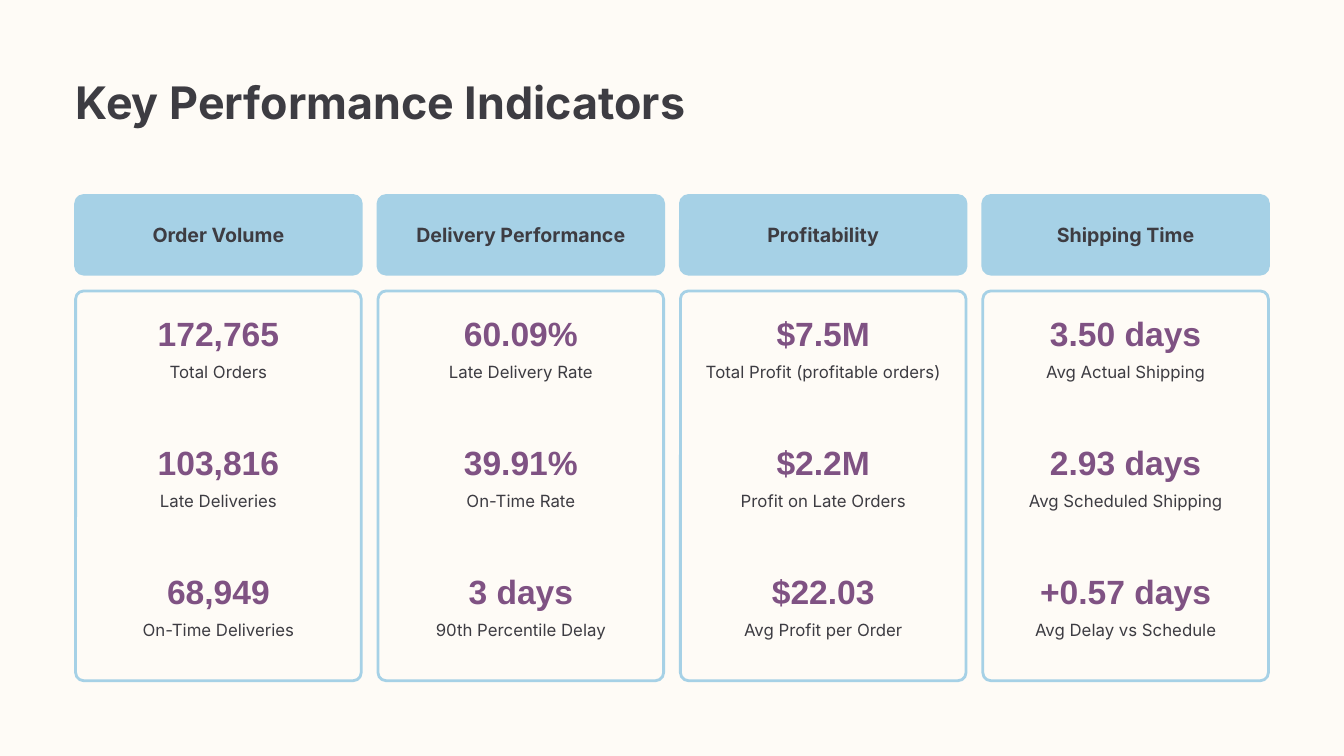
from pptx import Presentation
from pptx.dml.color import RGBColor
from pptx.enum.shapes import MSO_SHAPE
from pptx.enum.text import MSO_ANCHOR, MSO_AUTO_SIZE, PP_ALIGN
from pptx.util import Inches, Pt

DARK, BLUE, PLUM, CREAM = "3D3C42", "A6D1E6", "7F5283", "FEFBF6"
TITLE = {"name": "Inter", "size": Pt(48), "bold": True}
HEAD = {"name": "Inter", "size": Pt(21), "bold": True}
VALUE = {"name": "Arial", "size": Pt(36), "bold": True}
LABEL = {"name": "Inter", "size": Pt(18), "bold": False}
FRAME = {"margin_left": 0, "margin_right": 0, "margin_top": 0, "margin_bottom": 0,
         "word_wrap": True, "auto_size": MSO_AUTO_SIZE.NONE,
         "vertical_anchor": MSO_ANCHOR.TOP}

GROUPS = [
    ("Order Volume", [("172,765", "Total Orders"),
                      ("103,816", "Late Deliveries"),
                      ("68,949", "On-Time Deliveries")]),
    ("Delivery Performance", [("60.09%", "Late Delivery Rate"),
                              ("39.91%", "On-Time Rate"),
                              ("3 days", "90th Percentile Delay")]),
    ("Profitability", [("$7.5M", "Total Profit (profitable orders)"),
                       ("$2.2M", "Profit on Late Orders"),
                       ("$22.03", "Avg Profit per Order")]),
    ("Shipping Time", [("3.50 days", "Avg Actual Shipping"),
                       ("2.93 days", "Avg Scheduled Shipping"),
                       ("+0.57 days", "Avg Delay vs Schedule")]),
]


def tint(code):
    """Turn a hex string into a colour."""
    return RGBColor.from_string(code)


def write(box, text, font, color, align):
    """Fill a box with one line of formatted text."""
    frame = box.text_frame
    for key, val in FRAME.items():
        setattr(frame, key, val)
    para = frame.paragraphs[0]
    para.text = text
    para.alignment = align
    para.line_spacing = Pt(font["size"].pt * 1.1)
    for key, val in font.items():
        setattr(para.runs[0].font, key, val)
    para.runs[0].font.color.rgb = tint(color)


deck = Presentation()
deck.slide_width, deck.slide_height = Inches(20), Inches(11.25)
slide = deck.slides.add_slide(deck.slide_layouts[5])
slide.background.fill.solid()
slide.background.fill.fore_color.rgb = tint(CREAM)

wide, gap = 4.25, 0.25
edge = (20 - 4 * wide - 3 * gap) / 2

title = slide.shapes.title
title.left, title.top = Inches(edge), Inches(1.18)
title.width, title.height = Inches(12.31), Inches(0.74)
write(title, "Key Performance Indicators", TITLE, DARK, PP_ALIGN.LEFT)

for col, (head, stats) in enumerate(GROUPS):
    left = Inches(edge + col * (wide + gap))

    for top, high, solid in [(2.91, 1.17, True), (4.33, 5.8, False)]:
        card = slide.shapes.add_shape(MSO_SHAPE.ROUNDED_RECTANGLE, left,
                                      Inches(top), Inches(wide), Inches(high))
        card.adjustments[0] = 0.12 / min(wide, high)
        card.shadow.inherit = False
        card.line.color.rgb = tint(BLUE)
        card.line.width = Pt(3)
        if solid:
            card.fill.solid()
            card.fill.fore_color.rgb = tint(BLUE)
        else:
            card.fill.background()

    lines = [(3.34, 0.32, head, HEAD, DARK)]
    for row, (value, label) in enumerate(stats):
        top = 4.7 + row * 1.925
        lines += [(top, 0.58, value, VALUE, PLUM),
                  (top + 0.7, 0.28, label, LABEL, DARK)]
    for top, high, text, font, color in lines:
        box = slide.shapes.add_textbox(left, Inches(top), Inches(wide), Inches(high))
        write(box, text, font, color, PP_ALIGN.CENTER)

deck.save("out.pptx")
